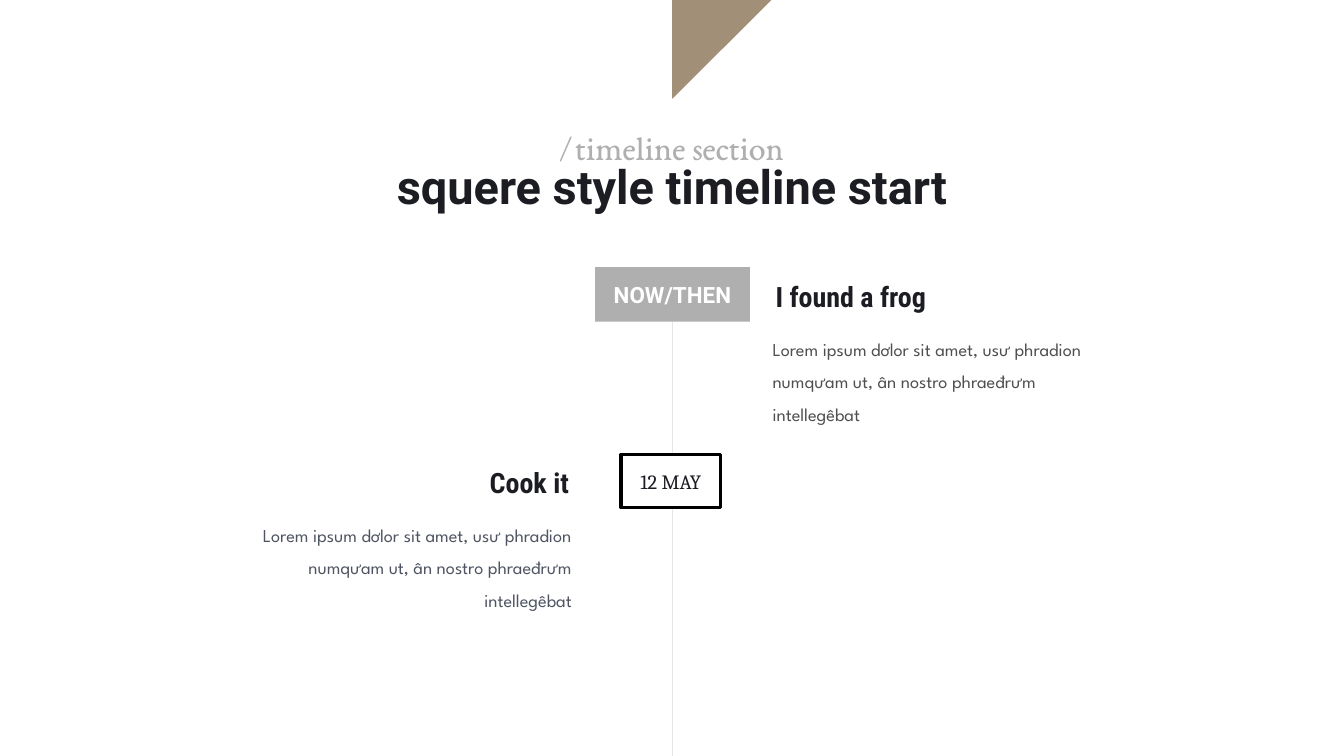
import pptx
import pptx.dml.color
import pptx.enum.shapes
import pptx.enum.text
import pptx.oxml.ns
import pptx.util
from lxml import etree

PX = 9144  # 100 px to the inch
THEME = {
    "ink": "1C1D22", "grey": "AFAFAF", "rule": "E6E6E6", "tan": "A19077",
    "white": "FFFFFF", "black": "000000", "body_right": "504E4E", "body_left": "4E5461",
    "title": 67, "kicker": 48, "heading": 40, "badge": 32, "date": 29, "body": 26,
}
ALIGN = pptx.enum.text.PP_ALIGN
ANCHOR = pptx.enum.text.MSO_ANCHOR
SHAPE = pptx.enum.shapes.MSO_SHAPE


def rgb(name):
    return pptx.dml.color.RGBColor.from_string(THEME[name])


def write(sp, text, *, font, size, color="ink", bold=False, align=ALIGN.CENTER,
          anchor=ANCHOR.TOP, inset=0, spacing=1.0):
    tf = sp.text_frame
    tf.word_wrap = True
    tf.vertical_anchor = anchor
    tf.margin_left = tf.margin_right = tf.margin_top = tf.margin_bottom = inset * PX
    p = tf.paragraphs[0]
    p.alignment = align
    p.line_spacing = spacing
    r = p.add_run()
    r.text = text
    r.font.name = font
    r.font.size = pptx.util.Pt(THEME[size])
    r.font.bold = bold
    r.font.color.rgb = rgb(color)


prs = pptx.Presentation()
prs.slide_width, prs.slide_height = 2667 * PX, 1500 * PX
s = prs.slides.add_slide(prs.slide_layouts[6])
s.background.fill.solid()
s.background.fill.fore_color.rgb = rgb("white")

# Corner flag at the top of the centre line
axis = 1334
flag = s.shapes.build_freeform(axis, 0, scale=PX)
flag.add_line_segments([(axis + 197, 0), (axis, 196)], close=True)
sp = flag.convert_to_shape()
sp.shadow.inherit = False
sp.fill.solid()
sp.fill.fore_color.rgb = rgb("tan")
sp.line.fill.background()

# Timeline
line = s.shapes.add_connector(pptx.enum.shapes.MSO_CONNECTOR.STRAIGHT,
                              axis * PX, 623 * PX, axis * PX, 1500 * PX)
line.line.color.rgb = rgb("rule")
line.line.width = pptx.util.Pt(2)
etree.SubElement(line._element.spPr, pptx.oxml.ns.qn("a:effectLst"))

badges = [
    ("12 MAY", (1232, 902, 198, 105), "white", "black",
     dict(font="Cambria", size="date")),
    ("NOW/THEN", (1181, 530, 307, 108), "grey", None,
     dict(font="Roboto", size="badge", color="white", bold=True)),
]
for text, box, fill, border, style in badges:
    sp = s.shapes.add_shape(SHAPE.RECTANGLE, *(v * PX for v in box))
    sp.shadow.inherit = False
    sp.fill.solid()
    sp.fill.fore_color.rgb = rgb(fill)
    if border:
        sp.line.color.rgb = rgb(border)
        sp.line.width = pptx.util.Pt(5)
    else:
        sp.line.fill.background()
    write(sp, text, anchor=ANCHOR.MIDDLE, inset=28, **style)

# Events: heading with its description below
lorem = "Lorem ipsum dơlor sit amet, usư phradion numqưam ut, ân nostro phraeđrưm intellegêbat"
events = [
    ("I found a frog", 1533, 537, 394, ALIGN.LEFT, "body_right"),
    ("Cook it", 441, 906, 349, ALIGN.RIGHT, "body_left"),
]
for heading, left, top, body_height, align, color in events:
    sp = s.shapes.add_textbox(left * PX, top * PX, 694 * PX, 89 * PX)
    write(sp, heading, font="Roboto Condensed", size="heading", bold=True,
          align=align, anchor=ANCHOR.MIDDLE, inset=6, spacing=1.2)
    sp = s.shapes.add_textbox(left * PX, (top + 112) * PX, 694 * PX, body_height * PX)
    write(sp, lorem, font="League Spartan", size="body", color=color,
          align=align, spacing=1.5)

# Title and the line above it
sp = s.shapes.add_textbox(396 * PX, 335 * PX, 1875 * PX, 118 * PX)
write(sp, "squere style timeline start", font="Roboto", size="title", bold=True, spacing=0.8)
sp = s.shapes.add_textbox(396 * PX, 252 * PX, 1875 * PX, 83 * PX)
write(sp, "/ timeline section", font="EB Garamond", size="kicker", color="grey")

prs.save("out.pptx")
